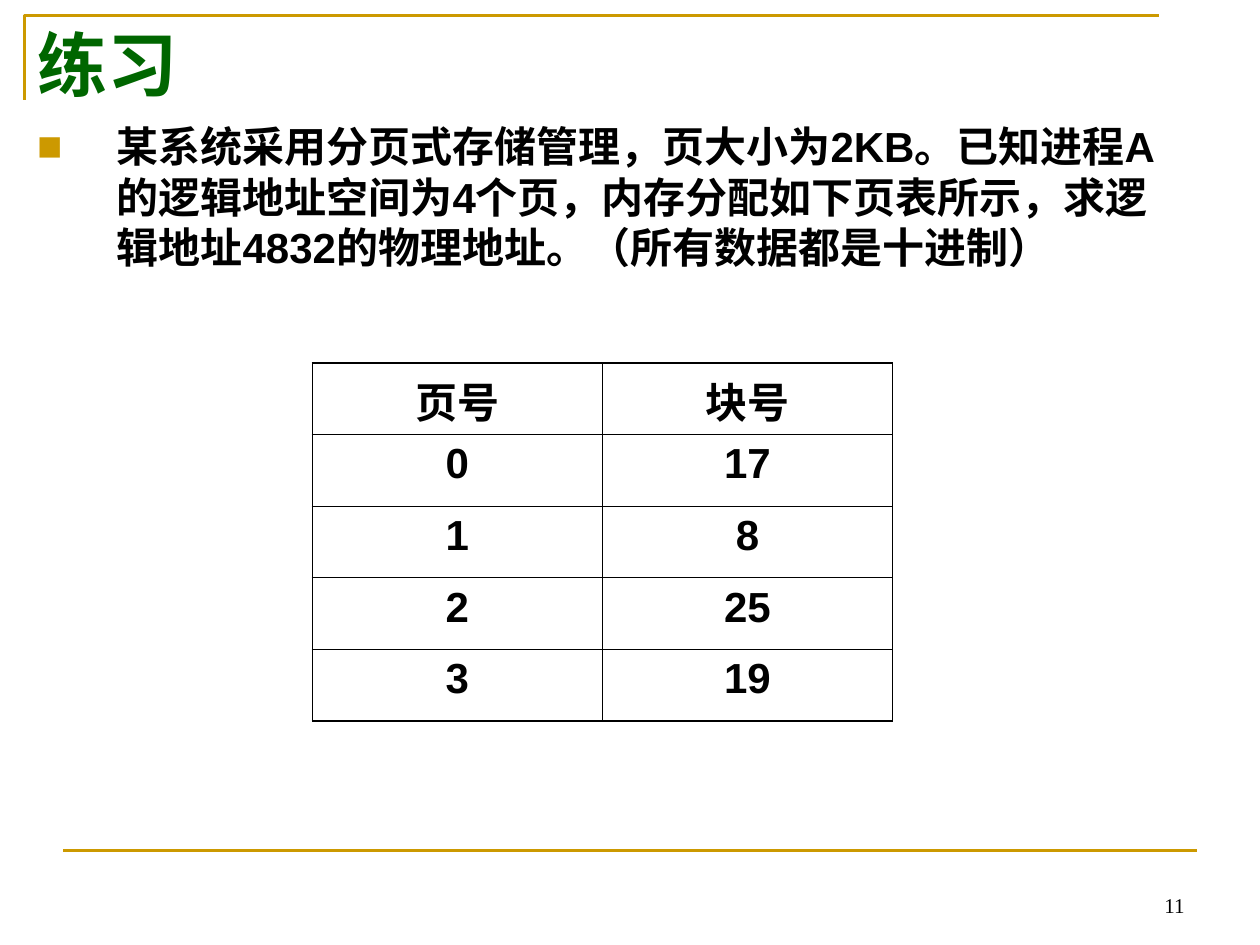
from lxml import etree
from pptx import Presentation
from pptx.dml.color import RGBColor
from pptx.enum import shapes, text
from pptx.oxml import ns
from pptx.util import Pt

COLOURS = {"gold": "CC9900", "green": "006600", "black": "000000"}
PAGE_TABLE = [("页号", "块号"), ("0", "17"), ("1", "8"), ("2", "25"), ("3", "19")]
THIN, THICK = 0.45, 1.08


def colour(name):
    return RGBColor.from_string(COLOURS[name])


def write_text(frame, content, size=24, font="Arial", tint="black", bold=True,
               align=text.PP_ALIGN.LEFT, anchor=text.MSO_ANCHOR.TOP, before=0):
    frame.word_wrap = True
    frame.vertical_anchor = anchor
    para = frame.paragraphs[0]
    para.alignment = align
    para.space_before = Pt(before)
    span = para.add_run()
    span.text = content
    span.font.size = Pt(size)
    span.font.name = font
    span.font.bold = bold
    span.font.color.rgb = colour(tint)
    return para


def add_text_box(page, box, content, **style):
    frame = page.shapes.add_textbox(*map(Pt, box)).text_frame
    return write_text(frame, content, **style)


def add_bullet(para, indent, tint):
    props = para._p.get_or_add_pPr()
    props.set("marL", str(Pt(indent)))
    props.set("indent", str(Pt(-indent)))
    fill = etree.SubElement(props, ns.qn("a:buClr"))
    etree.SubElement(fill, ns.qn("a:srgbClr"), val=COLOURS[tint])
    etree.SubElement(props, ns.qn("a:buFont"), typeface="Arial")
    etree.SubElement(props, ns.qn("a:buChar"), char="■")


def add_title(page, box, content):
    left, top, width, height = box
    builder = page.shapes.build_freeform(Pt(left), Pt(top + height - 3))
    builder.add_line_segments([(Pt(left), Pt(top)), (Pt(left + width), Pt(top))], close=False)
    corner = builder.convert_to_shape()
    corner.shadow.inherit = False
    corner.fill.background()
    corner.line.color.rgb = colour("gold")
    corner.line.width = Pt(1.5)
    add_text_box(page, box, content, size=40, font="Times New Roman", tint="green")


def add_question(page, box, content):
    para = add_text_box(page, box, content, before=6)
    add_bullet(para, 45.36, "gold")


def add_borders(cell, widths):
    props = cell._tc.get_or_add_tcPr()
    for place, (side, width) in enumerate(widths.items()):
        line = etree.Element(ns.qn(f"a:ln{side}"), w=str(Pt(width)))
        fill = etree.SubElement(line, ns.qn("a:solidFill"))
        etree.SubElement(fill, ns.qn("a:srgbClr"), val=COLOURS["black"])
        props.insert(place, line)


def add_page_table(page, box, rows):
    left, top, width, height = box
    count, columns = len(rows), len(rows[0])
    table = page.shapes.add_table(count, columns, *map(Pt, box)).table
    table.first_row = table.horz_banding = False
    for column in table.columns:
        column.width = Pt(width / columns)
    for r, values in enumerate(rows):
        table.rows[r].height = Pt(height / count)
        for c, value in enumerate(values):
            cell = table.cell(r, c)
            cell.fill.background()
            write_text(cell.text_frame, value, align=text.PP_ALIGN.CENTER, before=6)
            add_borders(cell, {
                "L": THICK if c == 0 else THIN,
                "R": THICK if c == columns - 1 else THIN,
                "T": THICK if r == 0 else THIN,
                "B": THICK if r == count - 1 else THIN,
            })


def add_footer(page, box, number):
    left, top, width, height = box
    rule = page.shapes.add_connector(shapes.MSO_CONNECTOR.STRAIGHT, Pt(left), Pt(top),
                                     Pt(left + width), Pt(top))
    rule.line.color.rgb = colour("gold")
    rule.line.width = Pt(1.5)
    etree.SubElement(rule._element.spPr, ns.qn("a:effectLst"))
    add_text_box(page, (left + width - 168, top + 6, 168, height - 6), number, size=12,
                 font="Times New Roman", bold=False, align=text.PP_ALIGN.RIGHT,
                 anchor=text.MSO_ANCHOR.BOTTOM)


def main():
    deck = Presentation()
    deck.slide_width, deck.slide_height = Pt(720), Pt(540)
    page = deck.slides.add_slide(deck.slide_layouts[6])
    add_footer(page, (36, 486, 648, 42), "11")
    add_title(page, (14.17, 9, 648, 51), "练习")
    add_question(page, (14.17, 65.5, 669, 119),
                 "某系统采用分页式存储管理，页大小为2KB。已知进程A的逻辑地址空间为4个页，"
                 "内存分配如下页表所示，求逻辑地址4832的物理地址。（所有数据都是十进制）")
    add_page_table(page, (178.5, 207.5, 331.5, 204.5), PAGE_TABLE)
    deck.save("out.pptx")


if __name__ == "__main__":
    main()
